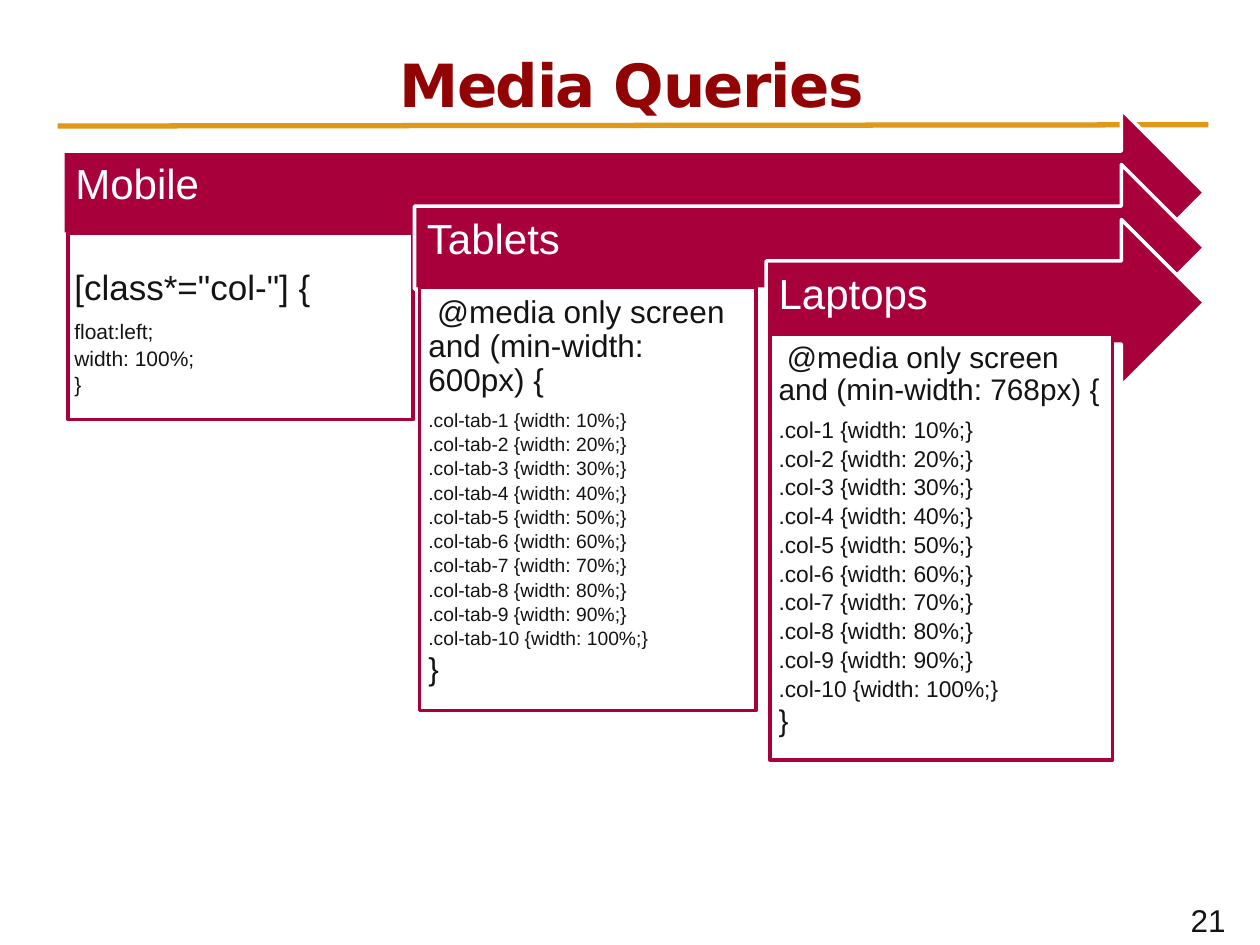
"""Build the Media Queries slide: three nested arrows with a code panel each."""
from dataclasses import dataclass
from lxml.etree import SubElement as Sub
from pptx import Presentation
from pptx.dml.color import RGBColor as RGB
from pptx.enum.shapes import MSO_CONNECTOR as Link, MSO_SHAPE as Kind
from pptx.enum.text import MSO_ANCHOR as Anchor, MSO_AUTO_SIZE as Auto, PP_ALIGN as Align
from pptx.oxml.ns import qn
from pptx.util import Pt


@dataclass(frozen=True)
class Theme:
    body: str = "Arial"
    head: str = "DejaVu Sans"
    ink: str = "141414"
    title: str = "920404"
    wine: str = "A8003B"
    gold: str = "DF9817"
    white: str = "FFFFFF"
    big: int = 34
    label: int = 24
    page: int = 18


def write(frame, text, size, color=Theme.ink, font=Theme.body, bold=False,
          align=Align.LEFT, lead=None, after=0, indent=0):
    para = frame.add_paragraph() if frame.text else frame.paragraphs[0]
    para.alignment = align
    para.line_spacing = lead
    para.space_before, para.space_after = Pt(0), Pt(after)
    if indent:
        para._p.get_or_add_pPr().set("indent", str(Pt(indent)))
    run = para.add_run()
    run.text = text
    run.font.size, run.font.name, run.font.bold = Pt(size), font, bold
    run.font.color.rgb = RGB.from_string(color)
    return run


def block(kind, box, fill, line, pads, anchor):
    shape = slide.shapes.add_shape(kind, *map(Pt, box))
    shape.shadow.inherit = False
    shape.fill.solid()
    shape.fill.fore_color.rgb = RGB.from_string(fill)
    shape.line.color.rgb = RGB.from_string(line)
    shape.line.width = Pt(2)
    frame = shape.text_frame
    frame.word_wrap, frame.vertical_anchor = True, anchor
    (frame.margin_left, frame.margin_top,
     frame.margin_right, frame.margin_bottom) = map(Pt, pads)
    return frame


theme = Theme()
deck = Presentation()
deck.slide_width, deck.slide_height = Pt(720), Pt(540)
slide = deck.slides.add_slide(deck.slide_layouts[5])

rule = slide.shapes.add_connector(Link.STRAIGHT, Pt(33), Pt(72), Pt(690.5), Pt(71.3))
rule.line.color.rgb = RGB.from_string(theme.gold)
rule.line.width = Pt(3)
Sub(rule._element.spPr, qn("a:effectLst"))

page = slide.shapes.add_textbox(Pt(673.2), Pt(511.2), Pt(46.8), Pt(28.8)).text_frame
page.word_wrap = False
write(page, "21", theme.page)

title = slide.shapes.title
title.left, title.top, title.width, title.height = map(Pt, (33.8, 21.6, 654.5, 34.6))
frame = title.text_frame
frame.auto_size, frame.vertical_anchor = Auto.NONE, Anchor.TOP
frame.margin_top, frame.margin_bottom = Pt(6), Pt(0)
run = write(frame, "Media Queries", theme.big, theme.title, theme.head,
            bold=True, align=Align.CENTER)
run.font._element.set("spc", "-80")

tabs = [f".col-tab-{n} {{width: {n * 10}%;}}" for n in range(1, 11)]
cols = [f".col-{n} {{width: {n * 10}%;}}" for n in range(1, 11)]
steps = [
    ("Mobile", (38.9, 133.2, 197.3, 106.6), (3.6, 21, 3.6, 3.6),
     '[class*="col-"] {', 20, 0, ["float:left;", "width: 100%;"], 12, 12),
    ("Tablets", (239.8, 164.2, 192.2, 241.9), (5, 5, 5, 5),
     "@media only screen and (min-width: 600px) {", 18, 5, tabs, 11, 18),
    ("Laptops", (439.9, 190.8, 195.8, 243.4), (5, 5, 5, 5),
     "@media only screen and (min-width: 768px) {", 17, 4.7, cols, 13, 17),
]
right = 688.3
for i, (name, box, pads, query, size, indent, rules, small, end) in enumerate(steps):
    left, top = 36 + 200.9 * i, 62.6 + 31.4 * i
    arrow = block(Kind.RIGHT_ARROW, (left, top, right - left, 95), theme.wine,
                  theme.white, (7.2, 7.2, 20, 15), Anchor.MIDDLE)
    write(arrow, name, theme.label, theme.white, lead=0.9)
    panel = block(Kind.RECTANGLE, box, theme.white, theme.wine, pads, Anchor.TOP)
    write(panel, query, size, lead=0.9, after=size * 0.4, indent=indent)
    for text in rules:
        write(panel, text, small, lead=0.9, after=round(small * 0.18, 2))
    write(panel, "}", end, lead=0.9)

deck.save("out.pptx")
